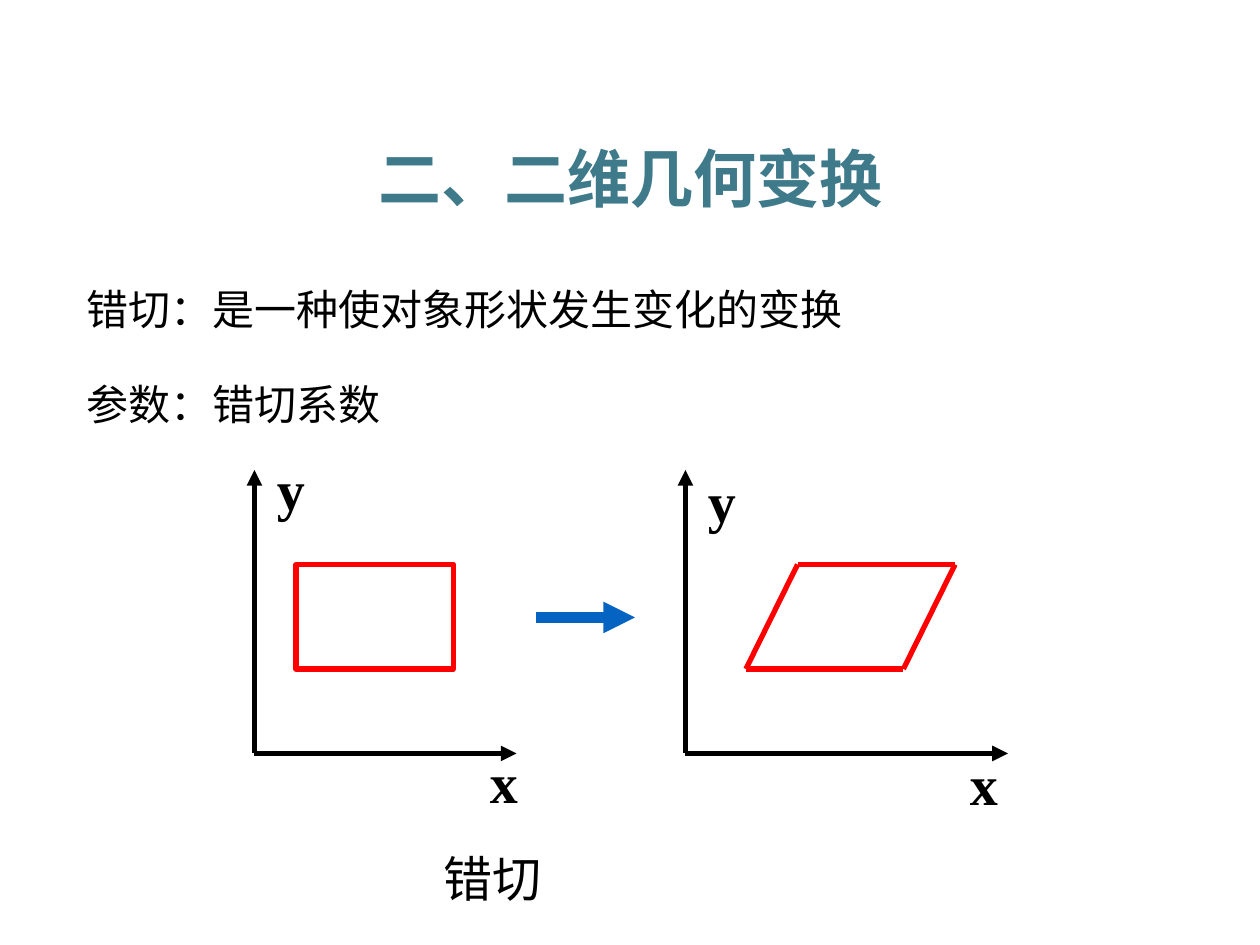
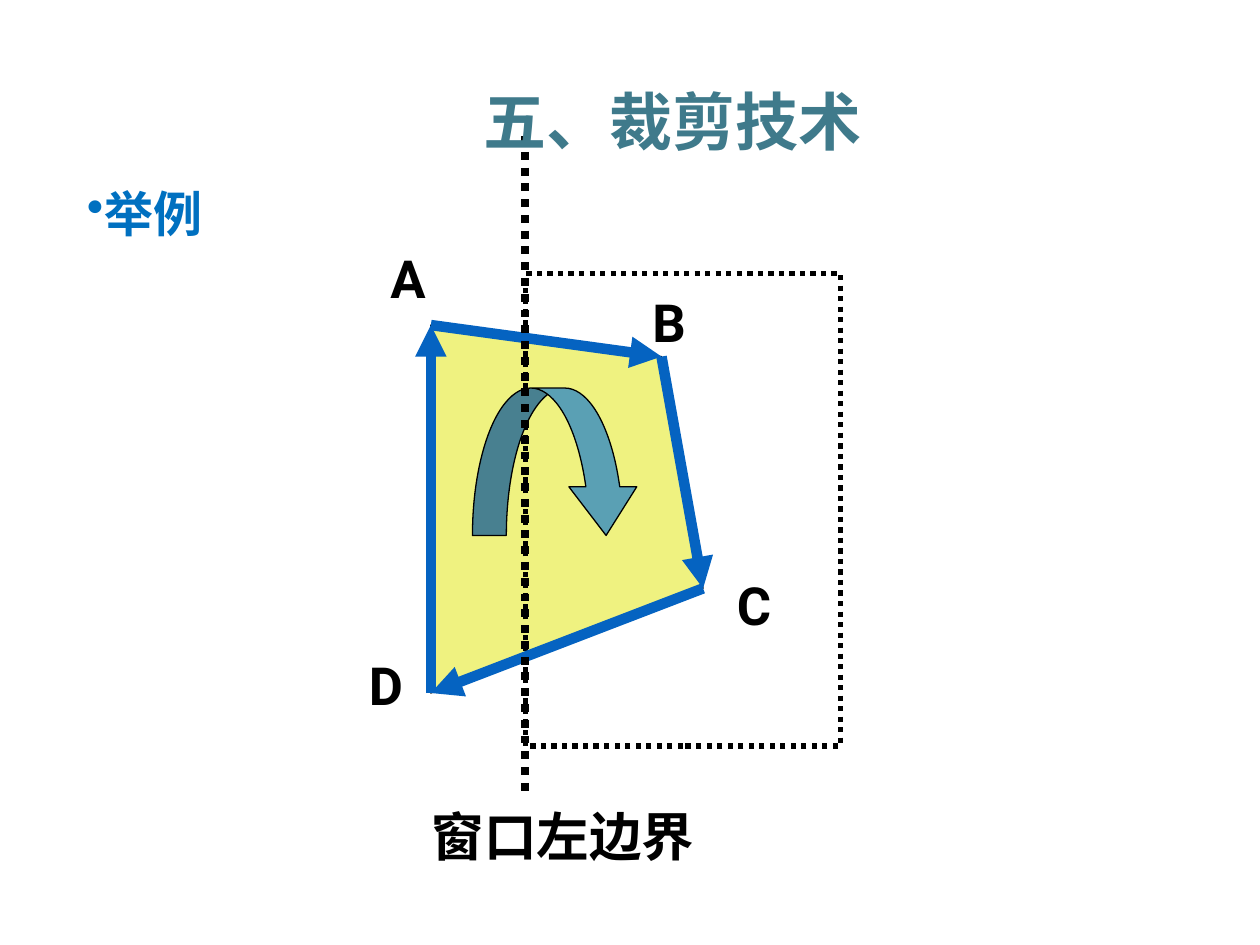
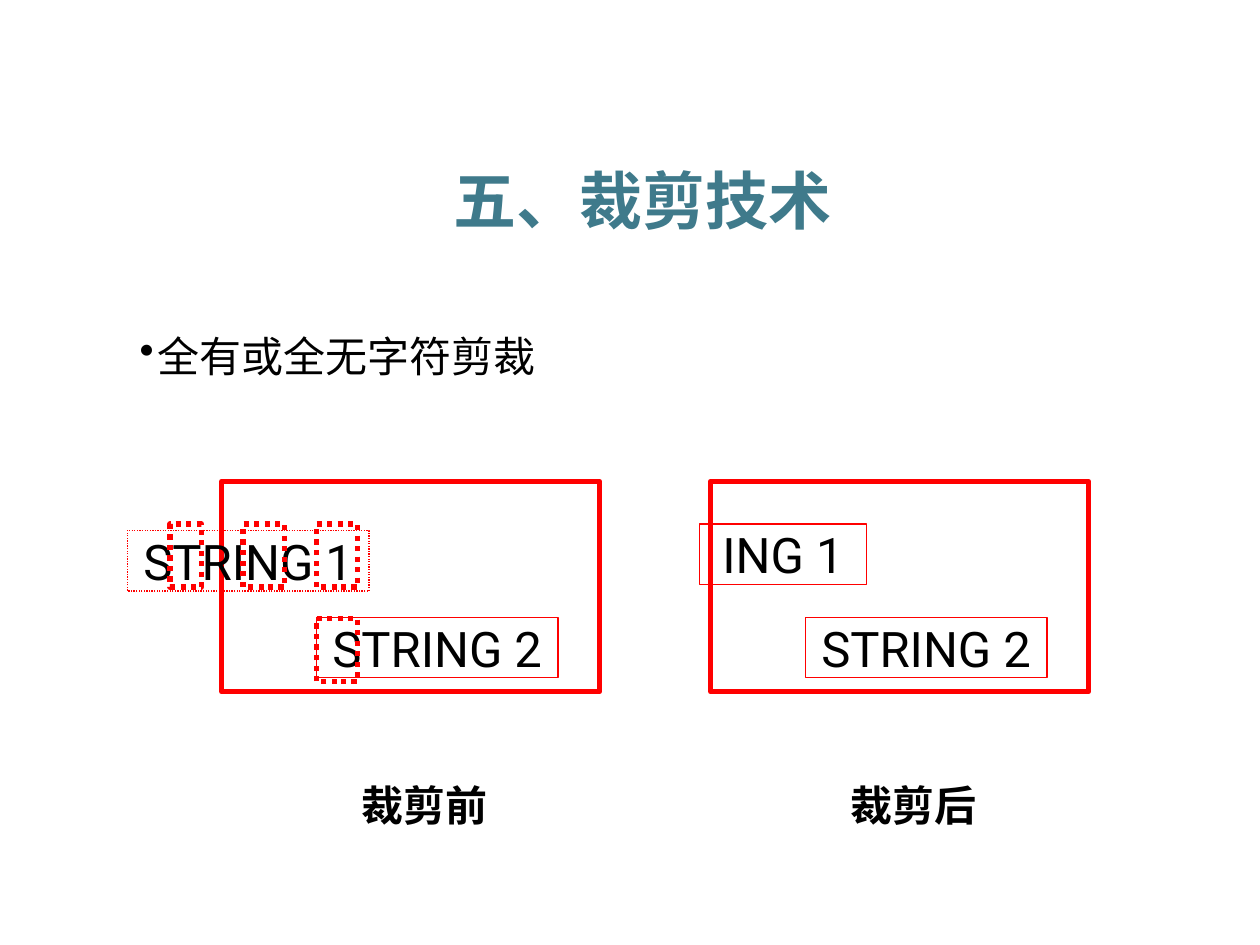
import itertools
from dataclasses import dataclass

import lxml.etree
import pptx
import pptx.dml.color
import pptx.enum.dml
import pptx.enum.shapes
import pptx.enum.text
import pptx.oxml.ns
import pptx.presentation
import pptx.shapes.base
import pptx.slide
import pptx.text.text
import pptx.util

Inches = pptx.util.Inches
Pt = pptx.util.Pt
Align = pptx.enum.text.PP_ALIGN
Anchor = pptx.enum.text.MSO_ANCHOR
Preset = pptx.enum.shapes.MSO_SHAPE
Point = tuple[float, float]

COLORS = {
    "ink": "000000",
    "title": "3F7A8B",
    "red": "FF0000",
    "arrow": "0563C1",
    "bullet": "0070C0",
    "polygon": "EFF280",
    "turn": "5AA0B4",
}
CJK_FONT = "Noto Sans CJK SC"
TITLE_ONLY = 5


@dataclass(frozen=True)
class TextStyle:
    size: float
    font: str
    color: str = "ink"
    bold: bool = False
    align: Align = Align.LEFT
    anchor: Anchor = Anchor.TOP
    margins: Point = (0.1, 0.05)
    wrap: bool = True
    line_spacing: float = 1.0
    space_before: float = 0
    indent: float = 0
    bullet: str = ""


@dataclass(frozen=True)
class Label:
    text: str
    left: float
    top: float
    width: float
    height: float
    style: TextStyle


@dataclass(frozen=True)
class Stroke:
    color: str
    width: float
    dotted: bool = False
    arrow: bool = False


@dataclass(frozen=True)
class Box:
    left: float
    top: float
    width: float
    height: float
    stroke: Stroke
    text: str = ""


TITLE = TextStyle(36, CJK_FONT, "title", True, Align.CENTER, Anchor.MIDDLE)
DEFINITION = TextStyle(24, CJK_FONT, line_spacing=1.2, space_before=20, indent=0.14)
CAPTION = TextStyle(28, "Arial", anchor=Anchor.MIDDLE, line_spacing=1.2)
AXIS_NAME = TextStyle(32, "Times New Roman", bold=True)
EXAMPLE = TextStyle(28, "Arial", "bullet", True, line_spacing=1.1, indent=0.14, bullet="•")
METHOD = TextStyle(24, "Arial", line_spacing=0.8, indent=0.14, bullet="•")
VERTEX = TextStyle(30, "Roboto", bold=True, wrap=False)
STRING = TextStyle(28, "Roboto", align=Align.CENTER, anchor=Anchor.MIDDLE, margins=(0, 0))
STAGE = TextStyle(24, "Roboto", bold=True, align=Align.CENTER, anchor=Anchor.MIDDLE,
                  margins=(0, 0), wrap=False)

AXIS = Stroke("ink", 3, arrow=True)
OUTLINE = Stroke("red", 3)
THIN = Stroke("red", 0.75)
THIN_DOTS = Stroke("red", 0.75, dotted=True)
CHARACTER = Stroke("red", 3, dotted=True)
FLOW = Stroke("arrow", 6, arrow=True)
HAIRLINE = Stroke("ink", 0.75)
WINDOW = Stroke("ink", 3, dotted=True)
BOUNDARY = Stroke("ink", 4.5, dotted=True)


def rgb(name: str) -> pptx.dml.color.RGBColor:
    return pptx.dml.color.RGBColor.from_string(COLORS[name])


def add_child(parent: lxml.etree._Element, tag: str, **attributes: str) -> None:
    lxml.etree.SubElement(parent, pptx.oxml.ns.qn(tag), **attributes)


def write(frame: pptx.text.text.TextFrame, text: str, style: TextStyle) -> None:
    frame.text = text
    frame.auto_size = pptx.enum.text.MSO_AUTO_SIZE.NONE
    frame.word_wrap = style.wrap
    frame.vertical_anchor = style.anchor
    frame.margin_left = frame.margin_right = Inches(style.margins[0])
    frame.margin_top = frame.margin_bottom = Inches(style.margins[1])
    for index, paragraph in enumerate(frame.paragraphs):
        paragraph.alignment = style.align
        paragraph.line_spacing = style.line_spacing
        paragraph.space_before = Pt(style.space_before if index else 0)
        properties = paragraph._p.get_or_add_pPr()
        if style.indent:
            properties.set("marL", str(Inches(style.indent)))
            properties.set("indent", str(-Inches(style.indent)))
        if style.bullet:
            add_child(properties, "a:buChar", char=style.bullet)
        font = paragraph.font
        font.size = Pt(style.size)
        font.bold = style.bold
        font.color.rgb = rgb(style.color)
        font.name = style.font
        add_child(properties.find(pptx.oxml.ns.qn("a:defRPr")), "a:ea", typeface=CJK_FONT)


def place(shape: pptx.shapes.base.BaseShape, label: Label) -> None:
    shape.left, shape.top = Inches(label.left), Inches(label.top)
    shape.width, shape.height = Inches(label.width), Inches(label.height)
    write(shape.text_frame, label.text, label.style)


def add_label(slide: pptx.slide.Slide, label: Label) -> None:
    place(slide.shapes.add_textbox(0, 0, 0, 0), label)


def add_title(slide: pptx.slide.Slide, text: str, left: float, top: float, height: float) -> None:
    title = slide.shapes.title
    place(title, Label(text, left, top, 9.34, height, TITLE))
    slide.shapes._spTree.append(title.element)


def apply_stroke(shape: pptx.shapes.base.BaseShape, stroke: Stroke) -> None:
    shape.line.color.rgb = rgb(stroke.color)
    shape.line.width = Pt(stroke.width)
    if stroke.dotted:
        shape.line.dash_style = pptx.enum.dml.MSO_LINE.ROUND_DOT
    if stroke.arrow:
        add_child(shape.line._get_or_add_ln(), "a:tailEnd", type="triangle")


def finish_shape(shape: pptx.shapes.base.BaseShape, stroke: Stroke, fill: str = "") -> None:
    shape.shadow.inherit = False
    if fill:
        shape.fill.solid()
        shape.fill.fore_color.rgb = rgb(fill)
    else:
        shape.fill.background()
    apply_stroke(shape, stroke)


def add_box(slide: pptx.slide.Slide, box: Box) -> None:
    shape = slide.shapes.add_shape(Preset.RECTANGLE, Inches(box.left), Inches(box.top),
                                   Inches(box.width), Inches(box.height))
    finish_shape(shape, box.stroke)
    if box.text:
        write(shape.text_frame, box.text, STRING)


def add_line(slide: pptx.slide.Slide, start: Point, end: Point, stroke: Stroke) -> None:
    line = slide.shapes.add_connector(pptx.enum.shapes.MSO_CONNECTOR.STRAIGHT,
                                      *(Inches(value) for value in start + end))
    apply_stroke(line, stroke)
    add_child(line._element.spPr, "a:effectLst")


def add_loop(slide: pptx.slide.Slide, corners: list[Point], stroke: Stroke) -> None:
    for start, end in itertools.pairwise(corners + corners[:1]):
        add_line(slide, start, end, stroke)


def add_axes(slide: pptx.slide.Slide, origin: Point, length: float, x_name: Point,
             y_name: Point) -> None:
    left, bottom = origin
    add_line(slide, origin, (left + length, bottom), AXIS)
    add_line(slide, origin, (left, bottom - 2.25), AXIS)
    for name, (name_left, name_top) in (("x", x_name), ("y", y_name)):
        add_label(slide, Label(name, name_left, name_top, 0.67, 0.63, AXIS_NAME))


def new_slide(deck: pptx.presentation.Presentation) -> pptx.slide.Slide:
    return deck.slides.add_slide(deck.slide_layouts[TITLE_ONLY])


def build_shear(deck: pptx.presentation.Presentation) -> None:
    slide = new_slide(deck)
    add_label(slide, Label("错切", 3.42, 6.59, 8.52, 0.66, CAPTION))
    add_label(slide, Label("错切：是一种使对象形状发生变化的变换\n参数：错切系数",
                           0.59, 2.12, 8.48, 1.52, DEFINITION))
    add_axes(slide, (2.02, 5.98), 2.08, (3.79, 5.88), (2.1, 3.56))
    add_box(slide, Box(2.35, 4.48, 1.25, 0.83, OUTLINE))
    add_line(slide, (4.25, 4.9), (5.04, 4.9), FLOW)
    add_axes(slide, (5.44, 5.98), 2.56, (7.6, 5.9), (5.52, 3.65))
    add_loop(slide, [(5.92, 5.31), (7.17, 5.31), (7.58, 4.48), (6.33, 4.48)], OUTLINE)
    add_title(slide, "二、二维几何变换", 0.33, 0.99, 0.83)


def build_polygon_clipping(deck: pptx.presentation.Presentation) -> None:
    slide = new_slide(deck)
    add_label(slide, Label("举例", 0.59, 1.36, 8.08, 0.62, EXAMPLE))

    vertices = [(3.42, 2.58), (5.25, 2.83), (5.58, 4.67), (3.42, 5.5)]
    outline = [(Inches(x), Inches(y)) for x, y in vertices]
    builder = slide.shapes.build_freeform(*outline[0])
    builder.add_line_segments(outline[1:], close=True)
    finish_shape(builder.convert_to_shape(), HAIRLINE, "polygon")

    add_box(slide, Box(4.17, 2.17, 2.5, 3.75, WINDOW))
    add_loop(slide, vertices, FLOW)
    for name, left, top in (("A", 3, 1.9), ("B", 5.08, 2.25), ("C", 5.75, 4.5), ("D", 2.83, 5.13)):
        add_label(slide, Label(name, left, top, 0.5, 0.6, VERTEX))

    turn = slide.shapes.add_shape(Preset.CURVED_DOWN_ARROW, Inches(3.75), Inches(3.08),
                                  Inches(1.33), Inches(1.17))
    for index, value in enumerate((0.23, 0.46, 0.33)):
        turn.adjustments[index] = value
    finish_shape(turn, HAIRLINE, "turn")

    add_line(slide, (4.17, 1.08), (4.17, 6.33), BOUNDARY)
    add_label(slide, Label("窗口左边界", 3.33, 6.33, 2.28, 0.6, VERTEX))
    add_title(slide, "五、裁剪技术", 0.67, 0.6, 0.71)


def add_clip_stage(slide: pptx.slide.Slide, left: float, caption: str, first: Box) -> None:
    add_box(slide, Box(left, 3.82, 3, 1.67, OUTLINE))
    add_box(slide, first)
    add_box(slide, Box(left + 0.75, 4.9, 1.92, 0.48, THIN, "STRING 2"))
    add_label(slide, Label(caption, left + 1.11, 6.19, 1, 0.4, STAGE))


def build_text_clipping(deck: pptx.presentation.Presentation) -> None:
    slide = new_slide(deck)
    add_label(slide, Label("全有或全无字符剪裁", 1.01, 2.65, 6.06, 0.42, METHOD))
    add_clip_stage(slide, 1.76, "裁剪前", Box(1.01, 4.21, 1.92, 0.48, THIN_DOTS, "STRING 1"))
    for left, top, width in ((1.35, 4.16, 0.25), (1.93, 4.16, 0.33),
                             (2.51, 4.16, 0.33), (2.51, 4.91, 0.33)):
        add_box(slide, Box(left, top, width, 0.5, CHARACTER))
    add_clip_stage(slide, 5.64, "裁剪后", Box(5.55, 4.16, 1.33, 0.48, THIN, "ING 1"))
    add_title(slide, "五、裁剪技术", 0.43, 1.23, 0.71)


def main() -> None:
    deck = pptx.Presentation()
    deck.slide_width, deck.slide_height = Inches(10), Inches(7.5)
    build_shear(deck)
    build_polygon_clipping(deck)
    build_text_clipping(deck)
    deck.save("out.pptx")


if __name__ == "__main__":
    main()
